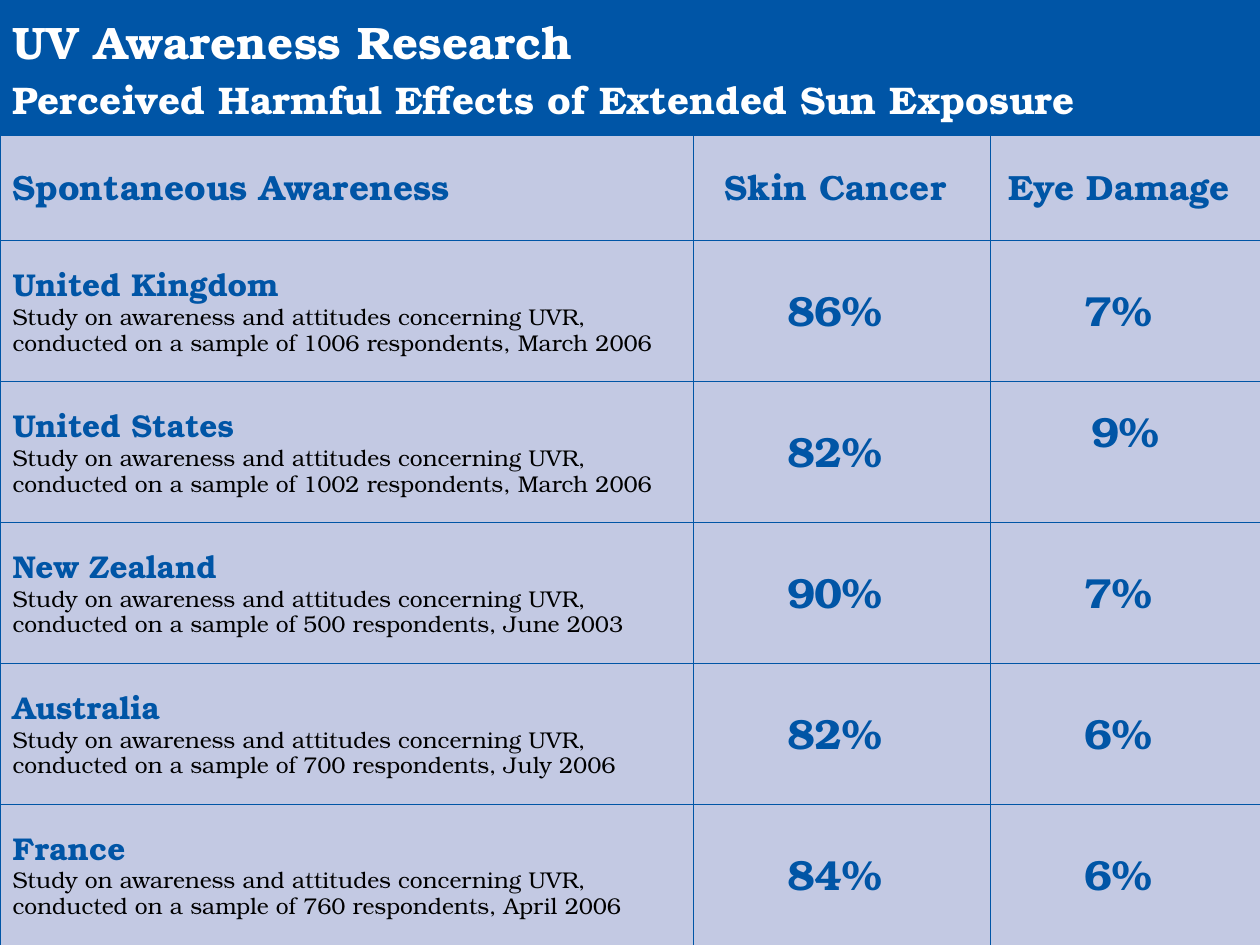
from lxml import etree
from pptx import Presentation
from pptx import util as u
from pptx.dml.color import RGBColor
from pptx.enum import text
from pptx.oxml.ns import qn

FONT = "TeX Gyre Bonum"
COLORS = {"blue": "0055A6", "lilac": "C3C9E3", "white": "FFFFFF", "black": "000000"}
COLUMNS = [13.97, 5.99, 5.44]
ROWS = [2.72, 2.13] + [2.84] * 5
HEADINGS = ["Spontaneous Awareness", "Skin Cancer ", "Eye Damage "]
STUDIES = [
    ("United Kingdom", 1006, "March 2006", "86% ", "7% "),
    ("United States", 1002, "March 2006", "82% ", "9%"),
    ("New Zealand", 500, "June 2003", "90% ", "7% "),
    ("Australia", 700, "July 2006", "82% ", "6% "),
    ("France", 760, "April 2006", "84% ", "6% "),
]


def add_text(p, content, size=24, color="blue", bold=True):
    r = p.add_run()
    r.text = content
    r.font.name = FONT
    r.font.size = u.Pt(size)
    r.font.bold = bold
    r.font.color.rgb = RGBColor.from_string(COLORS[color])


def add_borders(cell):
    tc_pr = cell._tc.get_or_add_tcPr()
    for i, side in enumerate(("lnL", "lnR", "lnT", "lnB")):
        ln = etree.Element(qn(f"a:{side}"), w=str(u.Pt(0.45)))
        fill = etree.SubElement(ln, qn("a:solidFill"))
        etree.SubElement(fill, qn("a:srgbClr"), val=COLORS["blue"])
        tc_pr.insert(i, ln)


def format_cell(cell, fill="lilac", centered=False, spacing=0.85):
    cell.fill.solid()
    cell.fill.fore_color.rgb = RGBColor.from_string(COLORS[fill])
    cell.vertical_anchor = text.MSO_ANCHOR.MIDDLE
    add_borders(cell)
    p = cell.text_frame.paragraphs[0]
    p.line_spacing = spacing
    p.alignment = text.PP_ALIGN.CENTER if centered else text.PP_ALIGN.LEFT
    return p


def add_awareness_table(slide):
    frame = slide.shapes.add_table(len(ROWS), len(COLUMNS), 0, 0,
                                   u.Cm(sum(COLUMNS)), u.Cm(sum(ROWS)))
    table = frame.table
    table.first_row = table.horz_banding = False
    for column, width in zip(table.columns, COLUMNS):
        column.width = u.Cm(width)
    for row, height in zip(table.rows, ROWS):
        row.height = u.Cm(height)
    return table


def fill_title(table):
    table.cell(0, 0).merge(table.cell(0, 2))
    p = format_cell(table.cell(0, 0), fill="blue", spacing=0.95)
    add_text(p, "UV Awareness Research", size=26, color="white")
    p.add_line_break()
    add_text(p, "Perceived Harmful Effects of Extended Sun Exposure", size=22, color="white")


def fill_headings(table):
    for i, heading in enumerate(HEADINGS):
        p = format_cell(table.cell(1, i), centered=i > 0)
        add_text(p, heading, size=20)


def fill_study(table, row, country, sample, date, *shares):
    p = format_cell(table.cell(row, 0))
    add_text(p, country, size=18)
    p.add_line_break()
    add_text(p, "Study on awareness and attitudes concerning UVR, conducted on "
                f"a sample of {sample} respondents, {date}",
             size=13, color="black", bold=False)
    for i, share in enumerate(shares, 1):
        add_text(format_cell(table.cell(row, i), centered=True), share)


def main():
    prs = Presentation()
    prs.slide_width, prs.slide_height = u.Cm(25.4), u.Cm(19.05)
    s = prs.slides.add_slide(prs.slide_layouts[6])
    table = add_awareness_table(s)
    fill_title(table)
    fill_headings(table)
    for row, study in enumerate(STUDIES, 2):
        fill_study(table, row, *study)
    table.cell(3, 2).margin_bottom = u.Cm(0.94)
    prs.save("out.pptx")


if __name__ == "__main__":
    main()
